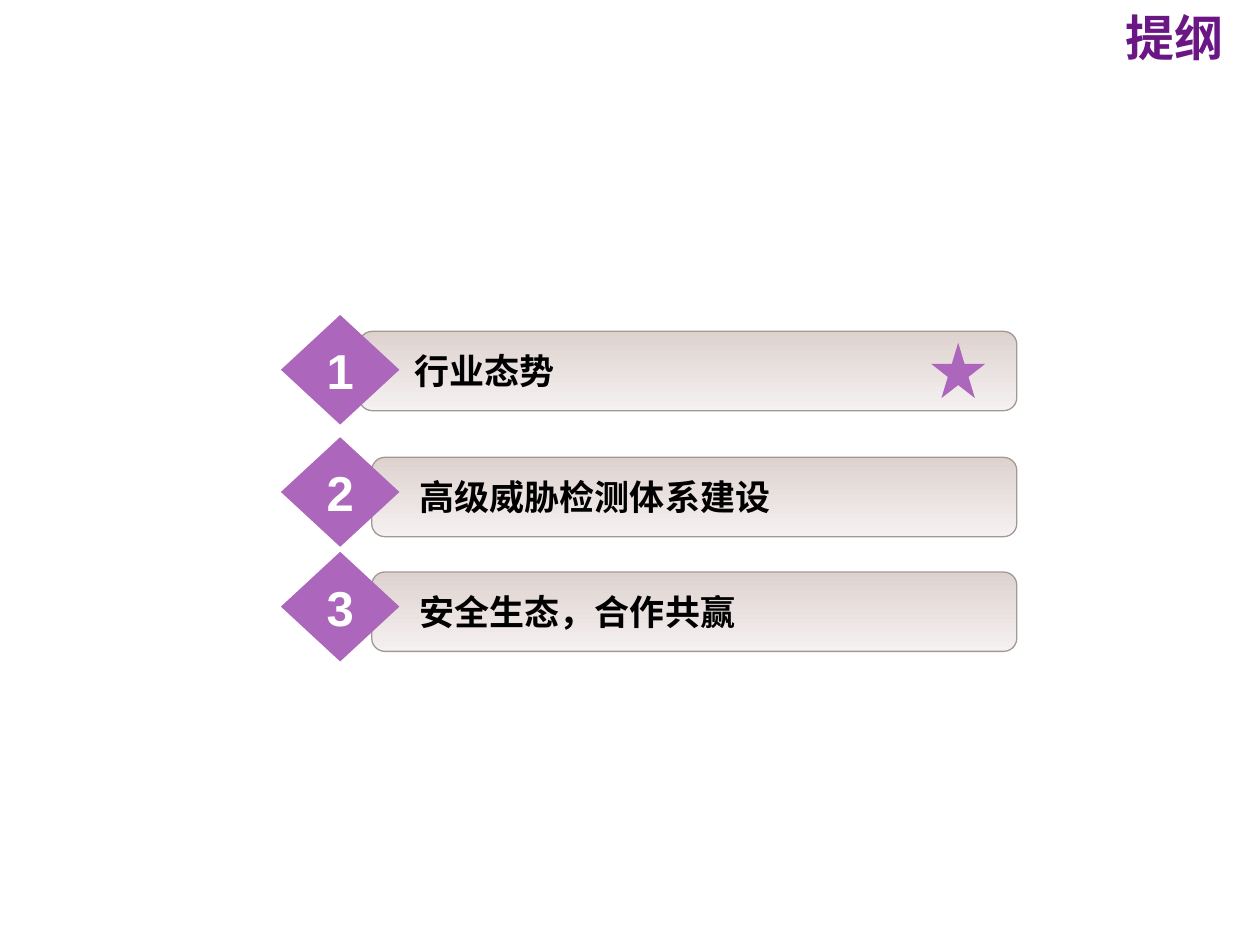
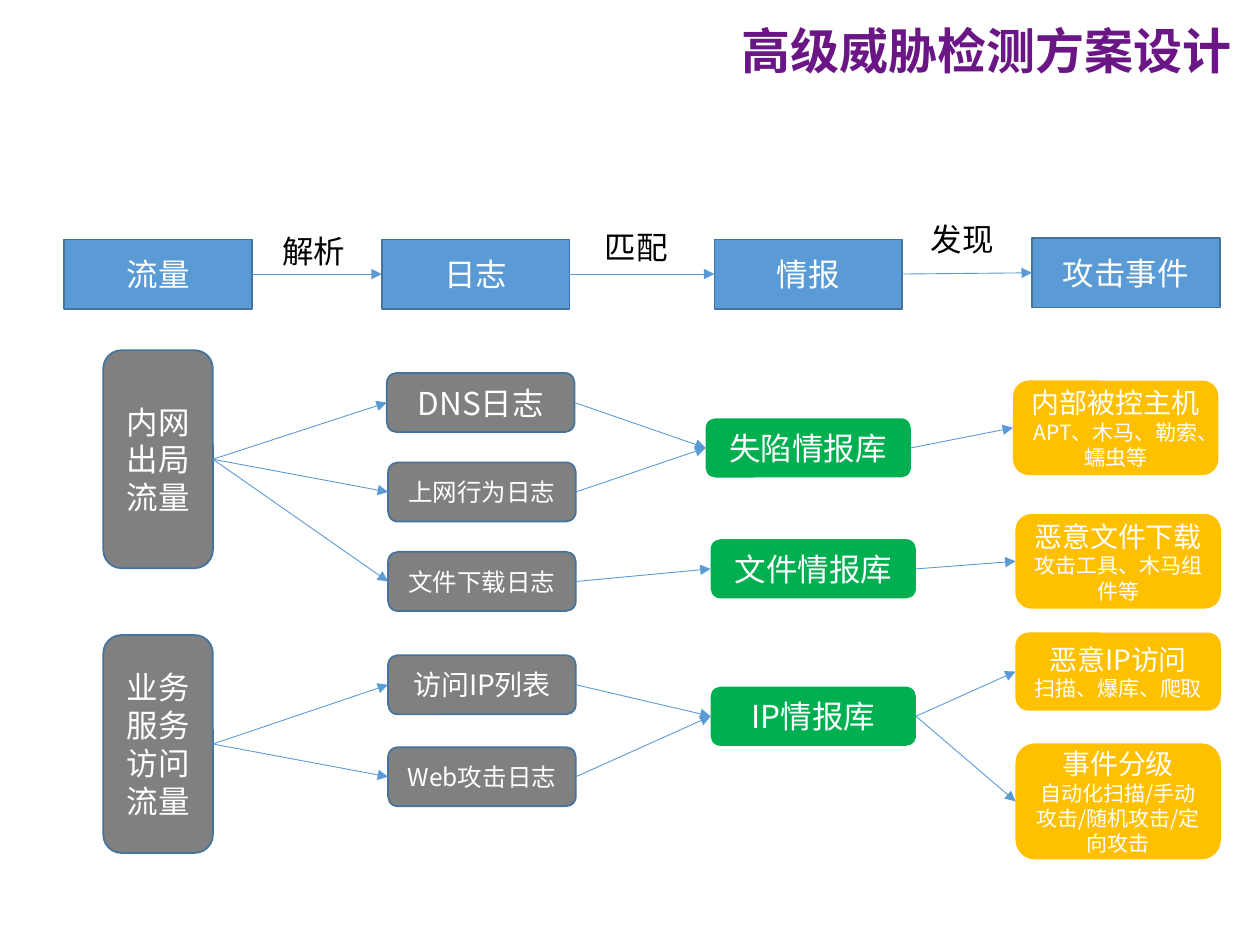
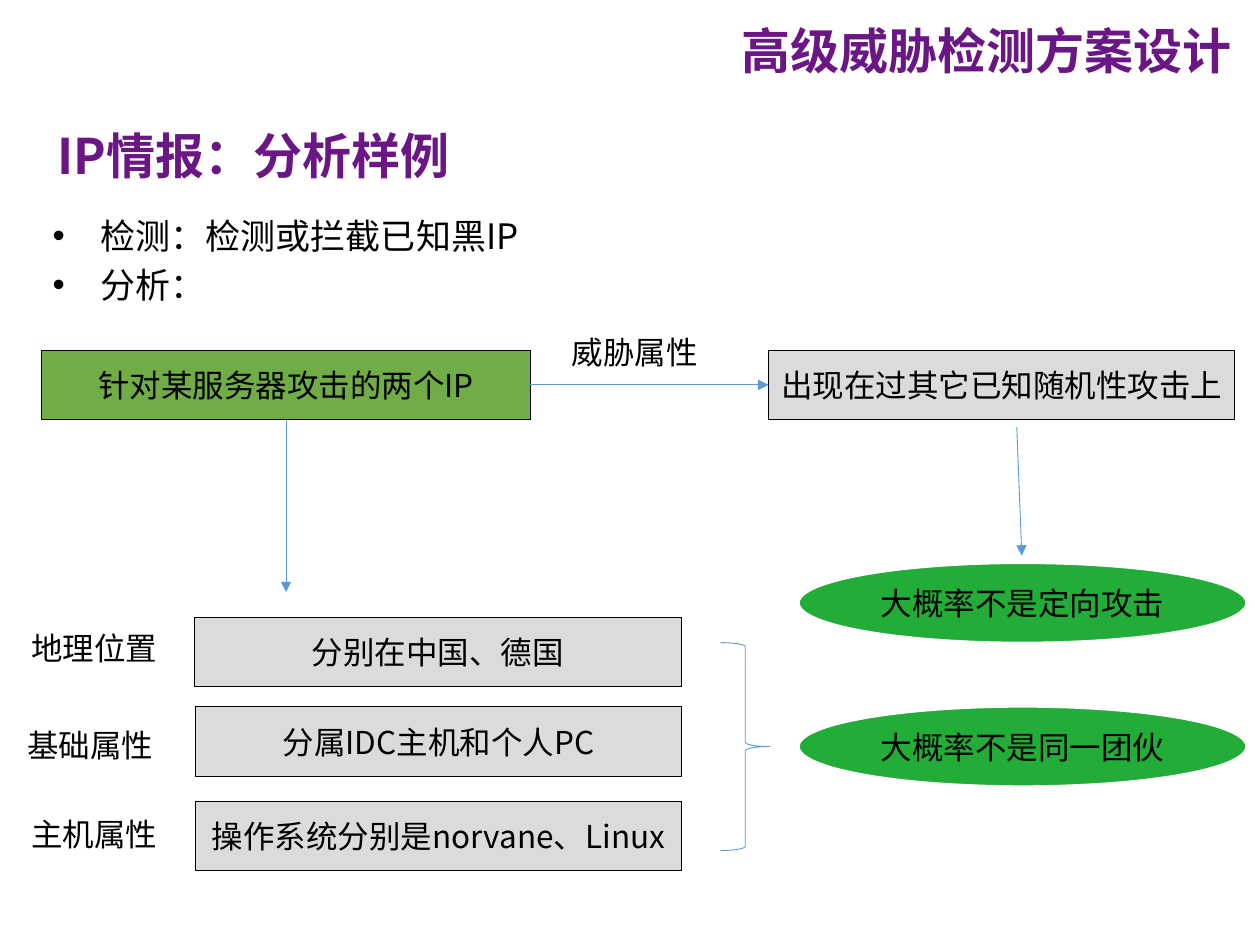
from lxml.etree import SubElement
from pptx import Presentation
from pptx.dml.color import RGBColor
from pptx.enum.shapes import MSO_CONNECTOR, MSO_SHAPE
from pptx.enum.text import MSO_ANCHOR, PP_ALIGN
from pptx.oxml.ns import qn
from pptx.util import Inches, Pt

FONT = "Noto Sans CJK SC"
DIGIT_FONT = "Arial"
PURPLE = RGBColor(0x6B, 0x16, 0x85)
LILAC = RGBColor(0xAC, 0x66, 0xBB)
BAR_TOP = RGBColor(0xDE, 0xD2, 0xCF)
BAR_BOTTOM = RGBColor(0xF5, 0xF1, 0xF1)
BAR_EDGE = RGBColor(0xA3, 0x99, 0x94)
BLUE = RGBColor(0x5B, 0x9B, 0xD5)
BLUE_EDGE = RGBColor(0x43, 0x73, 0x9E)
GRAY = RGBColor(0x80, 0x80, 0x80)
PALE_GRAY = RGBColor(0xDB, 0xDB, 0xDB)
GREEN = RGBColor(0x00, 0xB0, 0x50)
LEAF = RGBColor(0x70, 0xAD, 0x47)
EMERALD = RGBColor(0x22, 0xAC, 0x38)
AMBER = RGBColor(0xFF, 0xC0, 0x00)
WHITE = RGBColor(0xFF, 0xFF, 0xFF)
BLACK = RGBColor(0x00, 0x00, 0x00)

OUTLINE_TITLE = "提纲"
DESIGN_TITLE = "高级威胁检测方案设计"
DESIGN_TITLE_BOX = (1.46, 0.08, 8.41, 0.64)

AGENDA = [
    ("行业态势", 2.85, 2.63, 2.5, 0.41),
    ("高级威胁检测体系建设", 2.95, 3.63, 3.47, 0.35),
    ("安全生态，合作共赢", 2.95, 4.54, 4.38, 0.35),
]
BAR_RIGHT = 8.07

STAGES = [("流量", 0.51, 1.9), ("日志", 3.03, 1.9), ("情报", 5.67, 1.9), ("攻击事件", 8.19, 1.89)]
STEPS = [("解析", 2.14, 1.79), ("匹配", 4.7, 1.76), ("发现", 7.29, 1.7)]
TRAFFIC = [
    (["内网出局", "流量"], 0.82, 2.78),
    (["业务服务访问流量"], 0.82, 5.04),
]
LOGS = [
    ("DNS日志", 18, 3.07, 2.96),
    ("上网行为日志", 14, 3.08, 3.67),
    ("文件下载日志", 14, 3.08, 4.38),
    ("访问IP列表", 16, 3.08, 5.2),
    ("Web攻击日志", 14, 3.08, 5.93),
]
INTEL = [("失陷情报库", 5.6, 3.32), ("文件情报库", 5.64, 4.28), ("IP情报库", 5.64, 5.45)]
EVENTS = [
    ("内部被控主机", "APT、木马、勒索、蠕虫等", 8.04, 3.02, 0.75),
    ("恶意文件下载", "攻击工具、木马组件等", 8.06, 4.08, 0.75),
    ("恶意IP访问", "扫描、爆库、爬取", 8.06, 5.02, 0.62),
    ("事件分级", "自动化扫描/手动攻击/随机攻击/定向攻击", 8.06, 5.9, 0.92),
]
TRAFFIC_TO_LOGS = [(0, 0), (0, 1), (0, 2), (1, 3), (1, 4)]
LOGS_TO_INTEL = [(0, 0), (1, 0), (2, 1), (3, 2), (4, 2)]
INTEL_TO_EVENTS = [(0, 0), (1, 1), (2, 2), (2, 3)]

SAMPLE_HEADING = "IP情报：分析样例"
SAMPLE_POINTS = ["检测：检测或拦截已知黑IP", "分析："]
ATTACKERS = "针对某服务器攻击的两个IP"
THREAT_LABEL = "威胁属性"
KNOWN_ATTACK = "出现在过其它已知随机性攻击上"
ATTRIBUTES = [
    ("地理位置", 0.15, 4.94, "分别在中国、德国", 1.54, 4.9),
    ("基础属性", 0.12, 5.71, "分属IDC主机和个人PC", 1.55, 5.61),
    ("主机属性", 0.15, 6.42, "操作系统分别是norvane、Linux", 1.55, 6.36),
]
ATTRIBUTE_RIGHT = 5.41
CONCLUSIONS = [("大概率不是定向攻击", 4.47), ("大概率不是同一团伙", 5.61)]


def inches(box):
    return [Inches(value) for value in box]


def write(frame, lines, color=BLACK, bold=False, align=PP_ALIGN.LEFT,
          font=FONT, bullet=None, gap=0):
    for index, (text, size) in enumerate(lines):
        paragraph = frame.paragraphs[0] if index == 0 else frame.add_paragraph()
        paragraph.text = text
        paragraph.alignment = align
        if index and gap:
            paragraph.space_before = Pt(gap)
        if bullet:
            properties = paragraph._p.get_or_add_pPr()
            properties.set("marL", str(Inches(0.38)))
            properties.set("indent", str(-Inches(0.38)))
            SubElement(properties, qn("a:buFont")).set("typeface", "Arial")
            SubElement(properties, qn("a:buChar")).set("char", bullet)
        paragraph.font.size = Pt(size)
        paragraph.font.bold = bold
        paragraph.font.color.rgb = color
        paragraph.font.name = font
        SubElement(paragraph.font._element, qn("a:ea")).set("typeface", FONT)


def label(slide, box, lines, anchor=MSO_ANCHOR.TOP, **style):
    frame = slide.shapes.add_textbox(*inches(box)).text_frame
    frame.word_wrap = True
    frame.vertical_anchor = anchor
    write(frame, lines, **style)


def title(slide, text, box, anchor=MSO_ANCHOR.TOP):
    label(slide, box, [(text, 28)], anchor, color=PURPLE, bold=True, align=PP_ALIGN.RIGHT)


def panel(slide, kind, box, fill=None, edge=None, weight=1, lines=(), **style):
    shape = slide.shapes.add_shape(kind, *inches(box))
    shape.shadow.inherit = False
    if fill is None:
        shape.fill.background()
    else:
        shape.fill.solid()
        shape.fill.fore_color.rgb = fill
    if edge is None:
        shape.line.fill.background()
    else:
        shape.line.color.rgb = edge
        shape.line.width = Pt(weight)
    shape.text_frame.vertical_anchor = MSO_ANCHOR.MIDDLE
    write(shape.text_frame, lines, **{"align": PP_ALIGN.CENTER, **style})
    return shape


def arrow(slide, start=None, end=None, points=(0, 0, 0, 0), start_side=3):
    connector = slide.shapes.add_connector(MSO_CONNECTOR.STRAIGHT, *inches(points))
    if start is not None:
        connector.begin_connect(start, start_side)
    if end is not None:
        connector.end_connect(end, 1)
    connector.line.color.rgb = BLUE
    connector.line.width = Pt(0.5)
    SubElement(connector.line._get_or_add_ln(), qn("a:tailEnd")).set("type", "triangle")
    SubElement(connector._element.spPr, qn("a:effectLst"))


def build_outline(slide):
    title(slide, OUTLINE_TITLE, (5.97, 0.01, 3.84, 0.64))
    for number, (topic, left, top, diamond_top, inset) in enumerate(AGENDA, 1):
        bar = panel(slide, MSO_SHAPE.ROUNDED_RECTANGLE, (left, top, BAR_RIGHT - left, 0.63),
                    BAR_TOP, BAR_EDGE, 0.75, [(topic, 20)], bold=True, align=PP_ALIGN.LEFT)
        bar.text_frame.margin_left = Inches(inset)
        bar.text_frame.word_wrap = False
        bar.fill.gradient()
        bar.fill.gradient_angle = 270
        for position, (stop, color) in enumerate(zip(bar.fill.gradient_stops,
                                                     (BAR_TOP, BAR_BOTTOM))):
            stop.color.rgb = color
            stop.position = position
        panel(slide, MSO_SHAPE.DIAMOND, (2.23, diamond_top, 0.94, 0.87), LILAC,
              lines=[(str(number), 28)], color=WHITE, bold=True, font=DIGIT_FONT)
    panel(slide, MSO_SHAPE.STAR_5_POINT, (7.39, 2.72, 0.43, 0.44), LILAC)


def build_flow(slide):
    rounded = MSO_SHAPE.ROUNDED_RECTANGLE
    title(slide, DESIGN_TITLE, DESIGN_TITLE_BOX, MSO_ANCHOR.MIDDLE)
    stages = [panel(slide, MSO_SHAPE.RECTANGLE, (left, top, 1.49, 0.55), BLUE, BLUE_EDGE,
                    lines=[(name, 18)], color=WHITE) for name, left, top in STAGES]
    for name, left, top in STEPS:
        label(slide, (left, top, 0.87, 0.4), [(name, 18)])
    traffic = [panel(slide, rounded, (left, top, 0.87, 1.73), GRAY, BLUE_EDGE,
                     lines=[(part, 18) for part in parts], color=WHITE)
               for parts, left, top in TRAFFIC]
    logs = [panel(slide, rounded, (left, top, 1.49, 0.47), GRAY, BLUE_EDGE,
                  lines=[(name, size)], color=WHITE) for name, size, left, top in LOGS]
    intel = [panel(slide, rounded, (left, top, 1.63, 0.47), GREEN,
                   lines=[(name, 18)], color=WHITE) for name, left, top in INTEL]
    events = [panel(slide, rounded, (left, top, 1.63, height), AMBER,
                    lines=[(name, 16), (detail, 12)], color=WHITE)
              for name, detail, left, top, height in EVENTS]
    for start, end in zip(stages, stages[1:]):
        arrow(slide, start, end)
    for sources, targets, links in [(traffic, logs, TRAFFIC_TO_LOGS),
                                    (logs, intel, LOGS_TO_INTEL),
                                    (intel, events, INTEL_TO_EVENTS)]:
        for source, target in links:
            arrow(slide, sources[source], targets[target])


def build_sample(slide):
    box = MSO_SHAPE.RECTANGLE
    title(slide, DESIGN_TITLE, DESIGN_TITLE_BOX, MSO_ANCHOR.MIDDLE)
    label(slide, (0.36, 0.95, 9.4, 0.96), [(SAMPLE_HEADING, 28)], color=PURPLE, bold=True)
    label(slide, (0.32, 1.65, 9.4, 1.28), [(point, 20) for point in SAMPLE_POINTS],
          bullet="•", gap=4)
    attackers = panel(slide, box, (0.33, 2.78, 3.88, 0.55), LEAF, BLACK, 0.5, [(ATTACKERS, 18)])
    known_attack = panel(slide, box, (6.1, 2.78, 3.7, 0.55), PALE_GRAY, BLACK, 0.5,
                         [(KNOWN_ATTACK, 18)])
    arrow(slide, attackers, known_attack)
    arrow(slide, attackers, points=(2.27, 3.33, 2.27, 4.7), start_side=2)
    arrow(slide, points=(8.07, 3.39, 8.11, 4.41))
    label(slide, (4.44, 2.59, 1.5, 0.4), [(THREAT_LABEL, 18)])
    for name, name_left, name_top, finding, left, top in ATTRIBUTES:
        label(slide, (name_left, name_top, 1.5, 0.4), [(name, 18)])
        panel(slide, box, (left, top, ATTRIBUTE_RIGHT - left, 0.55), PALE_GRAY, BLACK, 0.5,
              [(finding, 18)])
    panel(slide, MSO_SHAPE.RIGHT_BRACE, (5.72, 5.1, 0.39, 1.65), edge=BLUE, weight=0.5)
    for conclusion, top in CONCLUSIONS:
        panel(slide, MSO_SHAPE.OVAL, (6.34, top, 3.55, 0.63), EMERALD, WHITE,
              lines=[(conclusion, 18)])


def main():
    deck = Presentation()
    deck.slide_width = Inches(10)
    deck.slide_height = Inches(7.5)
    for build in (build_outline, build_flow, build_sample):
        build(deck.slides.add_slide(deck.slide_layouts[6]))
    deck.save("out.pptx")


if __name__ == "__main__":
    main()
